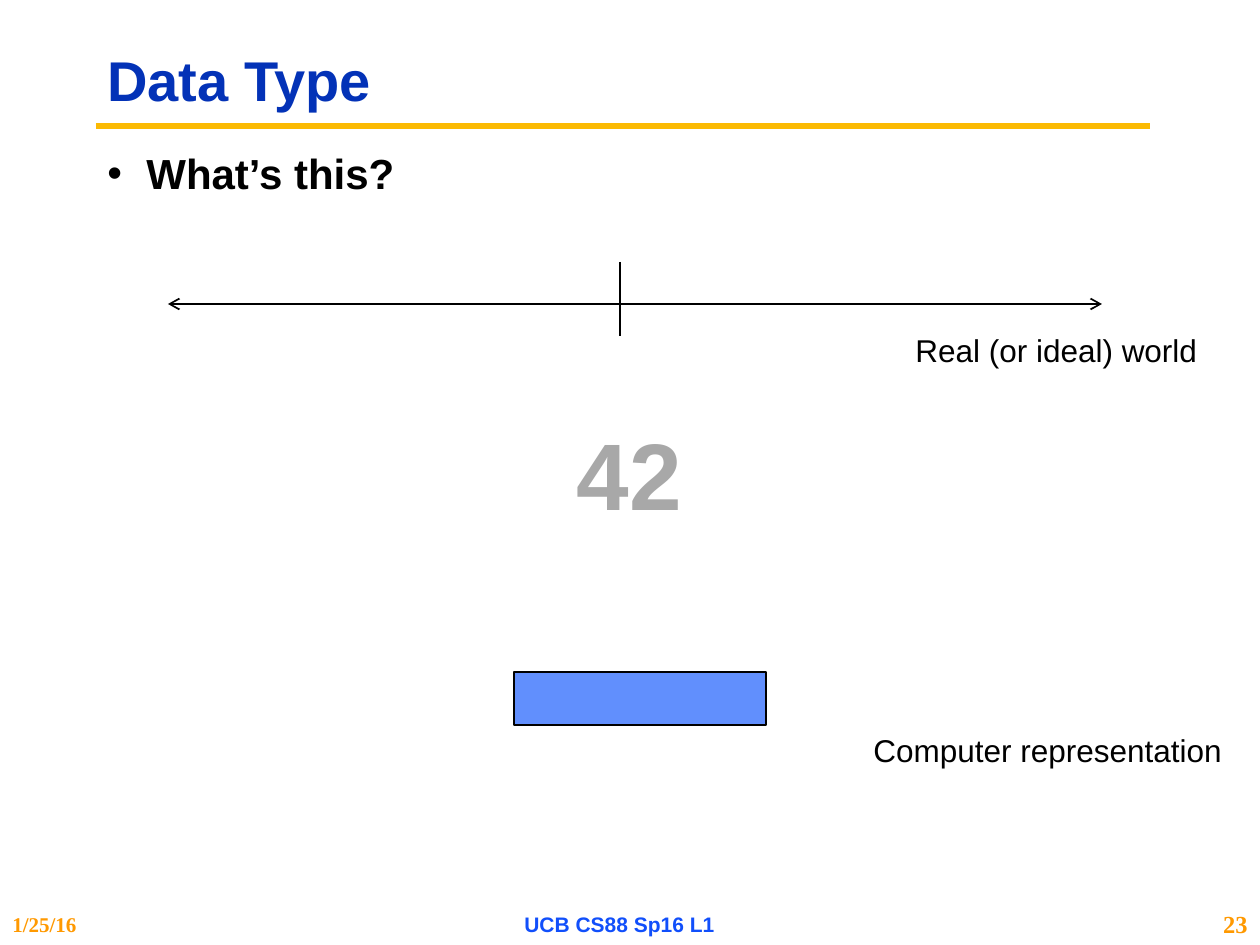
"""Build the Data Type slide: the number 42 between the real world and the computer."""
from lxml import etree
from pptx import Presentation
from pptx.dml.color import RGBColor
from pptx.enum.shapes import MSO_CONNECTOR, MSO_SHAPE
from pptx.enum.text import MSO_ANCHOR, PP_ALIGN
from pptx.oxml.ns import qn
from pptx.util import Pt

LEFT, CENTER, RIGHT = PP_ALIGN.LEFT, PP_ALIGN.CENTER, PP_ALIGN.RIGHT
TOP, MIDDLE = MSO_ANCHOR.TOP, MSO_ANCHOR.MIDDLE
STRAIGHT, RECTANGLE = MSO_CONNECTOR.STRAIGHT, MSO_SHAPE.RECTANGLE
PX = 914400 / 126
COLORS = {
    "rule": "FBBA03", "title": "0332B7", "ink": "000000", "footer": "FF9900",
    "course": "114FFB", "number": "A8A8A8", "memory": "618FFD",
}


def px(*lengths):
    return [round(length * PX) for length in lengths]


def color(name):
    return RGBColor.from_string(COLORS[name])


prs = Presentation()
prs.slide_width, prs.slide_height = px(1260, 945)
slide = prs.slides.add_slide(prs.slide_layouts[6])

lines = [
    ((96, 126, 1150, 126), "rule", 3.75, []),
    ((168, 304, 1102, 304), "ink", 1, ["a:headEnd", "a:tailEnd"]),
    ((620, 262, 620, 336), "ink", 1, []),
]
for ends, ink, width, arrowheads in lines:
    line = slide.shapes.add_connector(STRAIGHT, *px(*ends))
    line.line.color.rgb = color(ink)
    line.line.width = Pt(width)
    for arrowhead in arrowheads:
        etree.SubElement(line.line._ln, qn(arrowhead), type="arrow")
    etree.SubElement(line._element.spPr, qn("a:effectLst"))

memory = slide.shapes.add_shape(RECTANGLE, *px(514, 672, 252, 53))
memory.shadow.inherit = False
memory.fill.solid()
memory.fill.fore_color.rgb = color("memory")
memory.line.color.rgb = color("ink")
memory.line.width = Pt(1)

texts = [
    ("Data Type", (95, 32, 1061, 102), 32, "Arial", "title", True, LEFT, MIDDLE, True),
    ("What’s this?", (95, 147, 1050, 116), 24, "Arial", "ink", True, LEFT, TOP, True),
    ("42", (564, 410, 131, 127), 54, "Arial", "number", True, CENTER, TOP, False),
    ("Real (or ideal) world", (903, 325, 310, 50), 18, "Arial", "ink", False, LEFT, TOP, False),
    ("Computer representation", (861, 725, 377, 50), 18, "Arial", "ink", False, LEFT, TOP, False),
    ("1/25/16", (0, 903, 210, 42), 12, "Times New Roman", "footer", True, LEFT, MIDDLE, True),
    ("UCB CS88 Sp16 L1", (420, 903, 399, 42), 12, "Arial", "course", True, CENTER, MIDDLE, True),
    ("23", (1187, 903, 73, 42), 14, "Times New Roman", "footer", True, RIGHT, MIDDLE, True),
]
for words, place, size, typeface, ink, bold, align, anchor, wrap in texts:
    frame = slide.shapes.add_textbox(*px(*place)).text_frame
    frame.word_wrap = wrap
    frame.vertical_anchor = anchor
    paragraph = frame.paragraphs[0]
    paragraph.text = words
    paragraph.alignment = align
    if words == "What’s this?":
        indent = px(39)[0]
        properties = paragraph._p.get_or_add_pPr()
        properties.set("marL", str(indent))
        properties.set("indent", str(-indent))
        etree.SubElement(properties, qn("a:buFont"), typeface="Arial")
        etree.SubElement(properties, qn("a:buChar"), char="•")
    if size in (24, 32):
        paragraph.line_spacing = 0.9
    paragraph.font.size = Pt(size)
    paragraph.font.name = typeface
    paragraph.font.bold = bold
    paragraph.font.color.rgb = color(ink)

prs.save("out.pptx")
